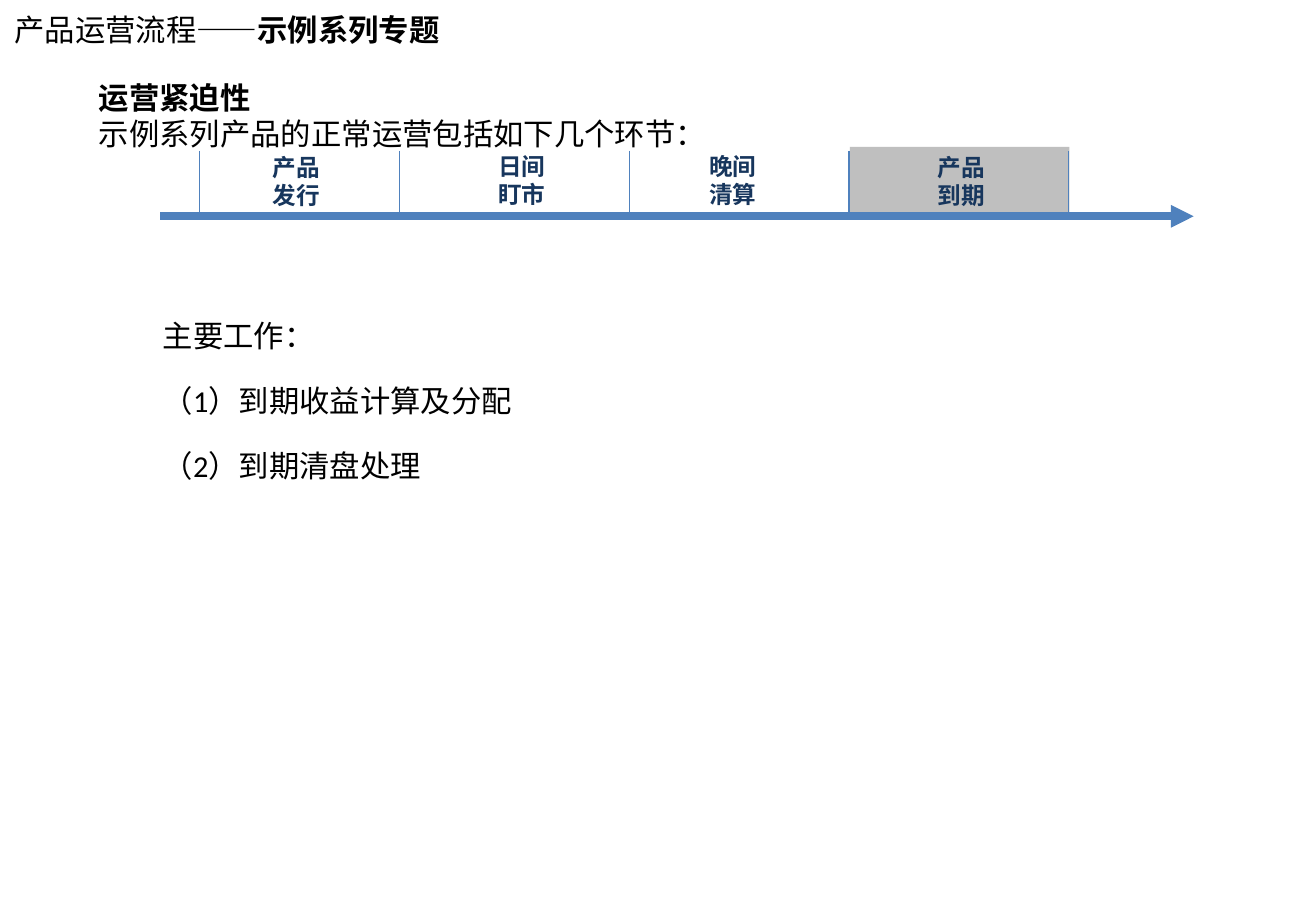
from pptx import Presentation
from pptx.dml.color import RGBColor
from pptx.enum import shapes, text
from pptx.oxml import ns, xmlchemy
from pptx.util import Pt

BLACK = RGBColor(0x00, 0x00, 0x00)
NAVY = RGBColor(0x17, 0x36, 0x5D)
BLUE = RGBColor(0x4F, 0x81, 0xBD)
GREY = RGBColor(0xBF, 0xBF, 0xBF)

LATIN_FONT = "Calibri"
CHINESE_FONT = "Noto Sans CJK SC"

AXIS_Y = 128.2
DIVIDER_TOP = 89.4
DIVIDERS = [118.3, 236.9, 373.3, 503.6, 633.9]
STAGES = [
    ("产品\n发行", 154.8, 87.1),
    ("日间\n盯市", 288.3, 86.4),
    ("晚间\n清算", 413.6, 86.4),
    ("产品\n到期", 548.9, 87.1),
]


class SlideBuilder:
    def __init__(self, slide):
        self.slide = slide

    def rectangle(self, left, top, width, height, color):
        shape = self.slide.shapes.add_shape(
            shapes.MSO_SHAPE.RECTANGLE, Pt(left), Pt(top), Pt(width), Pt(height))
        shape.shadow.inherit = False
        shape.fill.solid()
        shape.fill.fore_color.rgb = color
        shape.line.fill.background()

    def line(self, start, end, width, arrow=False):
        connector = self.slide.shapes.add_connector(
            shapes.MSO_CONNECTOR.STRAIGHT, *map(Pt, start + end))
        connector.line.color.rgb = BLUE
        connector.line.width = Pt(width)
        properties = connector._element.spPr
        if arrow:
            tail = xmlchemy.OxmlElement("a:tailEnd")
            tail.set("type", "triangle")
            properties.find(ns.qn("a:ln")).append(tail)
        properties.append(xmlchemy.OxmlElement("a:effectLst"))

    def text(self, content, left, top, width, height, size=18, color=BLACK,
             bold=False, font=LATIN_FONT, wrap=False):
        box = self.slide.shapes.add_textbox(Pt(left), Pt(top), Pt(width), Pt(height))
        frame = box.text_frame
        frame.text = content
        frame.word_wrap = wrap
        frame.auto_size = text.MSO_AUTO_SIZE.SHAPE_TO_FIT_TEXT
        for paragraph in frame.paragraphs:
            for run in paragraph.runs:
                self.style(run, size, color, bold, font)
        return frame

    def style(self, run, size=18, color=BLACK, bold=False, font=LATIN_FONT):
        run.font.size = Pt(size)
        run.font.bold = bold
        run.font.color.rgb = color
        run.font.name = font
        east_asian = xmlchemy.OxmlElement("a:ea")
        east_asian.set("typeface", CHINESE_FONT)
        run.font._element.find(ns.qn("a:latin")).addnext(east_asian)


def main():
    presentation = Presentation()
    presentation.slide_width = Pt(780.48)
    presentation.slide_height = Pt(540)
    slide = presentation.slides.add_slide(presentation.slide_layouts[6])
    builder = SlideBuilder(slide)

    builder.rectangle(504, 87.1, 130.3, 40.3, GREY)
    builder.line((95.2, AXIS_Y), (708, AXIS_Y), 4.5, arrow=True)
    for name, left, top in STAGES:
        builder.text(name, left, top, 42.5, 41, size=14, color=NAVY, bold=True)
    for x in DIVIDERS:
        builder.line((x, DIVIDER_TOP), (x, AXIS_Y), 0.75)

    heading = builder.text("运营紧迫性\n示例系列产品的正常运营包括如下几个环节：",
                           51.6, 43.2, 374.4, 50.4)
    heading.paragraphs[0].runs[0].font.bold = True

    tasks = builder.text("主要工作：\n（1）到期收益计算及分配\n（2）到期清盘处理",
                         89.5, 173.9, 595.4, 116.6, wrap=True)
    for paragraph in tasks.paragraphs:
        paragraph.line_spacing = 1.5
        paragraph.space_after = Pt(6)

    title = builder.text("产品运营流程——", 1.6, 2.9, 266.4, 28.8, font=CHINESE_FONT)
    topic = title.paragraphs[0].add_run()
    topic.text = "示例系列专题"
    builder.style(topic, bold=True, font=CHINESE_FONT)

    presentation.save("out.pptx")


if __name__ == "__main__":
    main()
